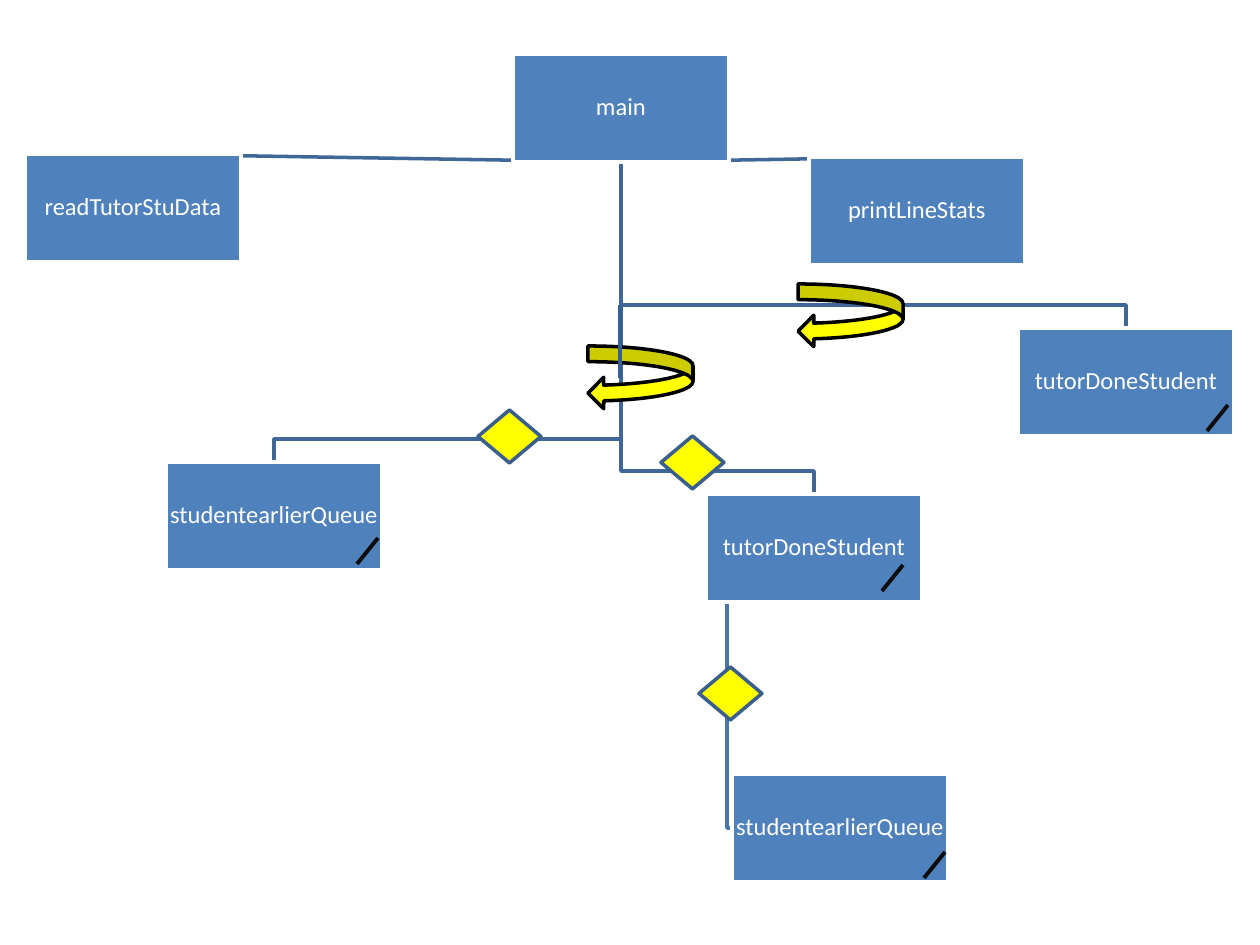
from lxml.etree import SubElement
from pptx import Presentation
from pptx.dml.color import RGBColor
from pptx.enum.shapes import MSO_CONNECTOR as CONNECTOR, MSO_SHAPE as SHAPE
from pptx.enum.text import MSO_ANCHOR as ANCHOR, PP_ALIGN as ALIGN
from pptx.oxml.ns import qn
from pptx.util import Emu, Pt

EMU_PER_PX = 914400 / 126
BOX_WIDTH, BOX_HEIGHT = 216, 108
BEND_GAP = 23

MAIN = ("main", 513, 54)
READ_DATA = ("readTutorStuData", 25, 154)
PRINT_STATS = ("printLineStats", 809, 157)
EARLIER_LEFT = ("studentearlierQueue", 166, 462)
DONE_MIDDLE = ("tutorDoneStudent", 706, 494)
DONE_RIGHT = ("tutorDoneStudent", 1018, 328)
EARLIER_BOTTOM = ("studentearlierQueue", 732, 774)
BOXES = [MAIN, READ_DATA, EARLIER_LEFT, DONE_MIDDLE, EARLIER_BOTTOM, PRINT_STATS, DONE_RIGHT]

DIAMONDS = [(478, 410), (661, 436), (699, 667)]
LOOPS = [(588, 346), (798, 284)]
SLASHES = [(357, 564), (924, 878), (882, 591), (1207, 431)]


def px(length):
    return Emu(round(length * EMU_PER_PX))


def colour(hex_string):
    return RGBColor.from_string(hex_string)


def set_line(shape, hex_string, points=2):
    shape.line.color.rgb = colour(hex_string)
    shape.line.width = Pt(points)


def add_filled(slide, kind, left, top, width, height, fill, line):
    shape = slide.shapes.add_shape(kind, px(left), px(top), px(width), px(height))
    shape.shadow.inherit = False
    shape.fill.solid()
    shape.fill.fore_color.rgb = colour(fill)
    set_line(shape, line)
    return shape


def add_box(slide, name, left, top):
    shape = add_filled(slide, SHAPE.RECTANGLE, left, top, BOX_WIDTH, BOX_HEIGHT, "4F81BD", "FFFFFF")
    frame = shape.text_frame
    frame.word_wrap = True
    frame.vertical_anchor = ANCHOR.MIDDLE
    frame.margin_left = frame.margin_right = frame.margin_top = frame.margin_bottom = px(1)
    paragraph = frame.paragraphs[0]
    paragraph.alignment = ALIGN.CENTER
    paragraph.line_spacing = 0.9
    run = paragraph.add_run()
    run.text = name
    run.font.name = "Calibri"
    run.font.size = Pt(14)
    run.font.color.rgb = colour("FFFFFF")


def add_polyline(slide, points, line):
    start, *rest = [(px(x), px(y)) for x, y in points]
    builder = slide.shapes.build_freeform(*start)
    builder.add_line_segments(rest, close=False)
    shape = builder.convert_to_shape()
    shape.shadow.inherit = False
    shape.fill.background()
    set_line(shape, line)


def add_line(slide, start, end, line):
    connector = slide.shapes.add_connector(
        CONNECTOR.STRAIGHT, px(start[0]), px(start[1]), px(end[0]), px(end[1]))
    SubElement(connector._element.spPr, qn("a:effectLst"))
    set_line(connector, line, 2.25)


def top_centre(box):
    return box[1] + BOX_WIDTH // 2, box[2]


def add_tree_lines(slide):
    main_x, main_top = top_centre(MAIN)
    root = main_x, main_top + BOX_HEIGHT
    for child in (DONE_RIGHT, DONE_MIDDLE, EARLIER_LEFT):
        x, top = top_centre(child)
        bend = top - BEND_GAP
        add_polyline(slide, [root, (main_x, bend), (x, bend), (x, top)], "3F6797")
    for child in (PRINT_STATS, READ_DATA):
        add_polyline(slide, [root, top_centre(child)], "3F6797")
    stem_x = DONE_MIDDLE[1] + 21
    child_left, child_middle = EARLIER_BOTTOM[1], EARLIER_BOTTOM[2] + BOX_HEIGHT // 2
    stem_top = DONE_MIDDLE[2] + BOX_HEIGHT
    add_polyline(slide, [(stem_x, stem_top), (stem_x, child_middle), (child_left, child_middle)], "4875AC")


def main():
    presentation = Presentation()
    presentation.slide_width, presentation.slide_height = px(1260), px(945)
    slide = presentation.slides.add_slide(presentation.slide_layouts[6])
    add_tree_lines(slide)
    for name, left, top in BOXES:
        add_box(slide, name, left, top)
    for left, top in DIAMONDS:
        add_filled(slide, SHAPE.DIAMOND, left, top, 63, 53, "FFFF00", "3A5F8C")
    for left, top in LOOPS:
        add_filled(slide, SHAPE.CURVED_LEFT_ARROW, left, top, 105, 63, "FFFF00", "000000")
    add_line(slide, (620, 378), (620, 305), "376092")
    for x, y in SLASHES:
        add_line(slide, (x, y), (x + 21, y - 26), "0D0D0D")
    presentation.save("out.pptx")


if __name__ == "__main__":
    main()
